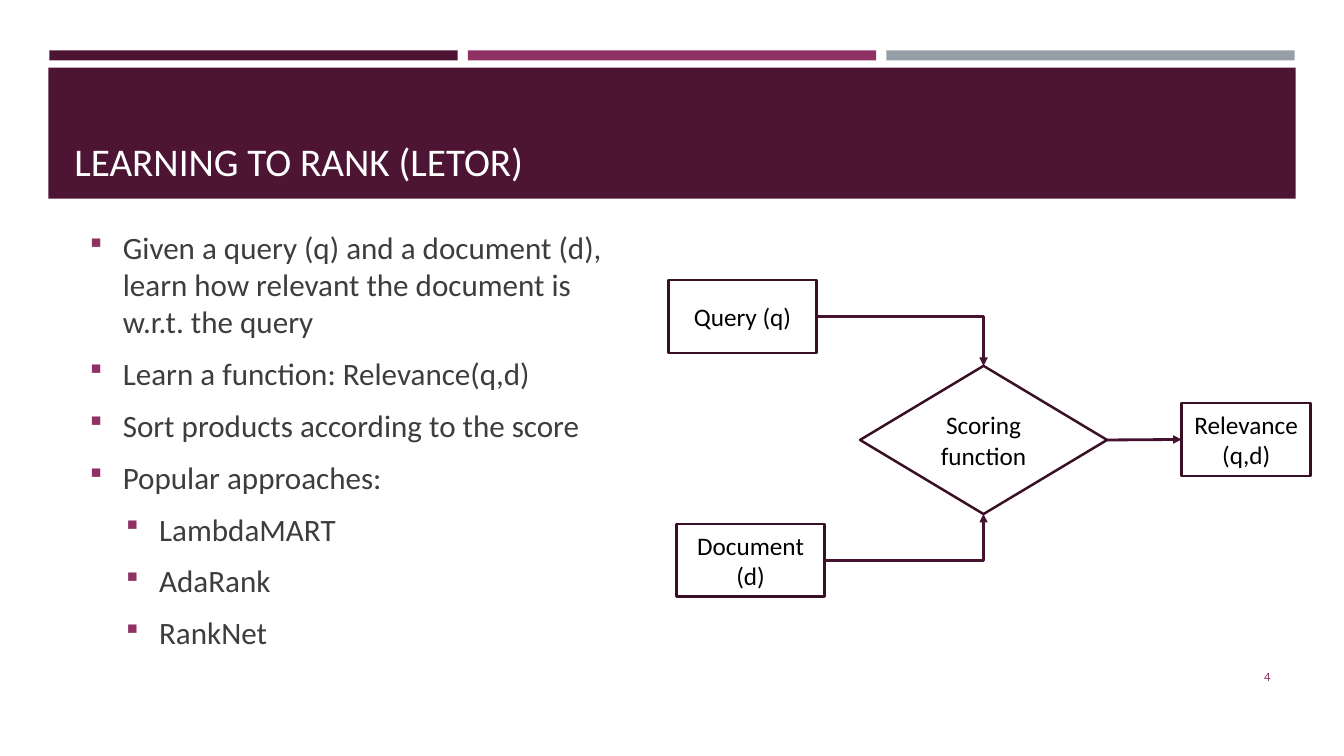
from dataclasses import dataclass

from lxml import etree
from pptx import Presentation
from pptx import util as u
from pptx.dml import color
from pptx.enum import shapes, text
from pptx.oxml import ns

FONT = "Calibri"
PLUM, BERRY, GREY = "4D1434", "903163", "969FA7"
OUTLINE, ARROW = "390F26", "45122F"
WHITE, BLACK, BODY = "FFFFFF", "000000", "3D3D3D"
TOP, BOTTOM, RIGHT, LEFT = 0, 2, 3, 1


@dataclass
class Area:
    left: float
    top: float
    width: float
    height: float

    def lengths(self) -> list:
        return [u.Inches(n) for n in (self.left, self.top, self.width, self.height)]

    def side(self, index: int) -> tuple:
        across = {LEFT: 0, RIGHT: 1}.get(index, 0.5)
        down = {TOP: 0, BOTTOM: 1}.get(index, 0.5)
        return (u.Inches(self.left + self.width * across),
                u.Inches(self.top + self.height * down))


@dataclass
class Style:
    size: float
    colour: str
    align: text.PP_ALIGN = text.PP_ALIGN.LEFT
    anchor: text.MSO_ANCHOR = text.MSO_ANCHOR.MIDDLE


@dataclass
class Node:
    label: str
    area: Area
    preset: shapes.MSO_SHAPE = shapes.MSO_SHAPE.RECTANGLE


@dataclass
class Link:
    source: str
    target: str
    target_side: int


@dataclass
class Bullet:
    words: str
    level: int = 0


BARS = [Area(0.49 + 4.15 * column, 0.5, 4.05, 0.1) for column in range(3)]
BANNER = Area(0.48, 0.67, 12.37, 1.3)

BULLETS = [
    Bullet("Given a query (q) and a document (d), learn how relevant "
           "the document is w.r.t. the query"),
    Bullet("Learn a function: Relevance(q,d)"),
    Bullet("Sort products according to the score"),
    Bullet("Popular approaches:"),
    Bullet("LambdaMART", 1),
    Bullet("AdaRank", 1),
    Bullet("RankNet", 1),
]

NODES = {
    "scoring": Node("Scoring function", Area(8.53, 3.63, 2.45, 1.47),
                    shapes.MSO_SHAPE.DIAMOND),
    "query": Node("Query (q)", Area(6.63, 2.78, 1.47, 0.72)),
    "document": Node("Document (d)", Area(6.71, 5.2, 1.47, 0.72)),
    "relevance": Node("Relevance (q,d)", Area(11.72, 4, 1.28, 0.72)),
}

LINKS = [
    Link("query", "scoring", TOP),
    Link("document", "scoring", BOTTOM),
    Link("scoring", "relevance", LEFT),
]


def rgb(code: str) -> color.RGBColor:
    return color.RGBColor.from_string(code)


def apply(target, values: dict) -> None:
    for name, value in values.items():
        setattr(target, name, value)


def add_child(parent, tag: str, **attributes: str):
    return etree.SubElement(parent, ns.qn(tag), attributes)


def style_para(para, style: Style) -> None:
    para.alignment = style.align
    apply(para.font, {"name": FONT, "size": u.Pt(style.size)})
    para.font.color.rgb = rgb(style.colour)


def write(box, words: str, style: Style) -> None:
    frame = box.text_frame
    apply(frame, {"word_wrap": True, "vertical_anchor": style.anchor})
    frame.text = words
    style_para(frame.paragraphs[0], style)


def draw_bar(page, area: Area, colour: str) -> None:
    bar = page.shapes.add_shape(shapes.MSO_SHAPE.RECTANGLE, *area.lengths())
    bar.shadow.inherit = False
    bar.fill.solid()
    bar.fill.fore_color.rgb = rgb(colour)
    bar.line.fill.background()


def draw_text(page, area: Area, words: str, style: Style) -> None:
    write(page.shapes.add_textbox(*area.lengths()), words, style)


def draw_bullets(page, area: Area, bullets: list[Bullet], style: Style) -> None:
    frame = page.shapes.add_textbox(*area.lengths()).text_frame
    apply(frame, {"word_wrap": True, "vertical_anchor": style.anchor})
    for index, bullet in enumerate(bullets):
        para = frame.add_paragraph() if index else frame.paragraphs[0]
        props = para._p.get_or_add_pPr()
        props.set("marL", str(u.Inches(0.33 + 0.36 * bullet.level)))
        props.set("indent", str(u.Inches(-0.33)))
        add_child(add_child(props, "a:buClr"), "a:srgbClr", val=BERRY)
        add_child(props, "a:buSzPct", val="92000")
        add_child(props, "a:buFont", typeface="Wingdings")
        add_child(props, "a:buChar", char="§")
        apply(para, {"text": bullet.words, "level": bullet.level,
                     "space_before": u.Pt(4.4 if index else 0),
                     "space_after": u.Pt(6)})
        style_para(para, style)


def draw_node(page, node: Node, style: Style):
    box = page.shapes.add_shape(node.preset, *node.area.lengths())
    box.shadow.inherit = False
    box.fill.background()
    box.line.color.rgb = rgb(OUTLINE)
    box.line.width = u.Pt(1.75)
    write(box, node.label, style)
    return box


def draw_link(page, link: Link, boxes: dict) -> None:
    start = NODES[link.source].area.side(RIGHT)
    end = NODES[link.target].area.side(link.target_side)
    bent = link.target_side != LEFT
    kind = shapes.MSO_CONNECTOR.ELBOW if bent else shapes.MSO_CONNECTOR.STRAIGHT
    arrow = page.shapes.add_connector(kind, *start, *end)
    arrow.begin_connect(boxes[link.source], RIGHT)
    arrow.end_connect(boxes[link.target], link.target_side)
    arrow.line.color.rgb = rgb(ARROW)
    arrow.line.width = u.Pt(2)
    props = arrow._element.spPr
    if bent:
        props.find(ns.qn("a:prstGeom")).set("prst", "bentConnector2")
    add_child(props.find(ns.qn("a:ln")), "a:tailEnd", type="triangle")
    add_child(props, "a:effectLst")


def main() -> None:
    deck = Presentation()
    apply(deck, {"slide_width": u.Inches(13.33), "slide_height": u.Inches(7.5)})
    page = deck.slides.add_slide(deck.slide_layouts[6])

    for area, colour in zip(BARS + [BANNER], (PLUM, BERRY, GREY, PLUM)):
        draw_bar(page, area, colour)
    draw_text(page, Area(0.64, 0.77, 12.06, 1.11), "LEARNING TO RANK (LETOR)",
              Style(28, WHITE, anchor=text.MSO_ANCHOR.BOTTOM))
    draw_bullets(page, Area(0.79, 2.35, 5.54, 4.02), BULLETS, Style(22.2, BODY))

    label = Style(18, BLACK, text.PP_ALIGN.CENTER)
    boxes = {name: draw_node(page, node, label) for name, node in NODES.items()}
    for link in LINKS:
        draw_link(page, link, boxes)

    draw_text(page, Area(11.55, 6.51, 1.15, 0.4), "4",
              Style(9, BERRY, text.PP_ALIGN.RIGHT))
    deck.save("out.pptx")


if __name__ == "__main__":
    main()
